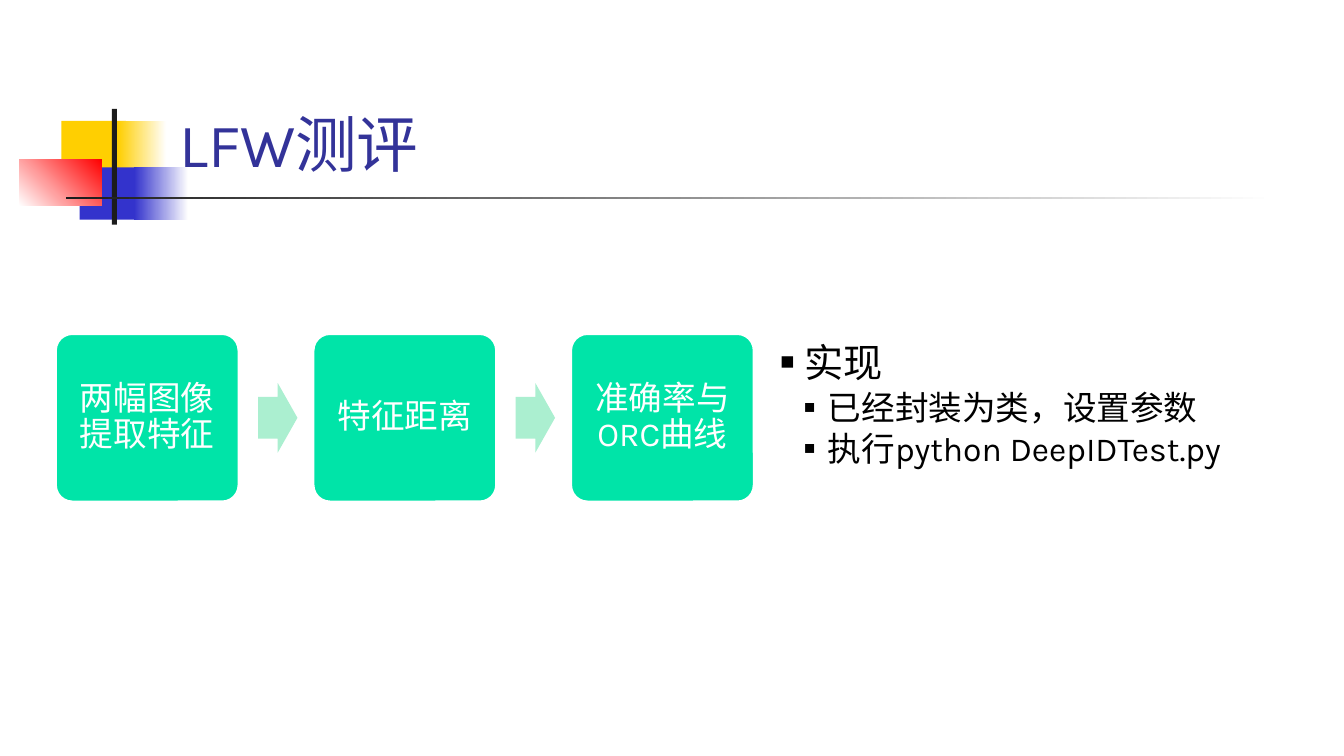
from lxml import etree
from pptx import Presentation
from pptx import util as u
from pptx.dml.color import RGBColor
from pptx.enum import shapes, text
from pptx.oxml.ns import qn

COLOURS = {
    "yellow": "FFCF01", "blue": "3333CC", "red": "FF0000", "dark": "1C1C1C",
    "white": "FFFFFF", "title": "333399", "black": "000000",
    "step": "00E4A8", "arrow": "ABEFD0",
}
KIND = shapes.MSO_SHAPE

deck = Presentation()
deck.slide_width, deck.slide_height = u.Inches(13.33), u.Inches(7.5)
slide = deck.slides.add_slide(deck.slide_layouts[1])
title, body = slide.placeholders


def add_block(kind, box, colour, end_colour=None, angle=0):
    block = slide.shapes.add_shape(kind, *map(u.Inches, box))
    block.shadow.inherit = False
    block.line.fill.background()
    if end_colour:
        block.fill.gradient()
        block.fill.gradient_angle = angle
        for stop, name, position in zip(block.fill.gradient_stops, (colour, end_colour), (0, 1)):
            stop.color.rgb = RGBColor.from_string(COLOURS[name])
            stop.position = position
    else:
        block.fill.solid()
        block.fill.fore_color.rgb = RGBColor.from_string(COLOURS[colour])
    return block


def write(paragraph, words, size, colour):
    run = paragraph.add_run()
    run.text = words
    for key, value in {"name": "Karla", "size": u.Pt(size), "bold": False}.items():
        setattr(run.font, key, value)
    run.font.color.rgb = RGBColor.from_string(COLOURS[colour])


for box, *fill in [
    ((0.61, 1.2, 0.64, 0.52), "yellow"),
    ((1.17, 1.2, 0.48, 0.52), "yellow", "white"),
    ((0.79, 1.66, 0.61, 0.52), "blue"),
    ((1.33, 1.66, 0.54, 0.52), "blue", "white"),
    ((0.19, 1.58, 0.82, 0.46), "white", "red", 45),
    ((1.11, 1.08, 0.05, 1.15), "dark"),
    ((0.65, 1.95, 11.99, 0.03), "dark", "white"),
]:
    add_block(KIND.RECTANGLE, box, *fill)

for holder, box, bottom_inset in [
    (title, (1.68, 0.23, 11.36, 1.6), 0.05),
    (body, (7.64, 2.28, 5.55, 3.01), 0.64),
]:
    slide.shapes._spTree.append(holder._element)
    for side, length in zip(("left", "top", "width", "height"), box):
        setattr(holder, side, u.Inches(length))
    frame_format = {
        "auto_size": text.MSO_AUTO_SIZE.NONE, "word_wrap": True,
        "vertical_anchor": text.MSO_ANCHOR.BOTTOM,
        "margin_left": u.Inches(0.1), "margin_right": u.Inches(0.1),
        "margin_top": u.Inches(0.05), "margin_bottom": u.Inches(bottom_inset),
    }
    for key, value in frame_format.items():
        setattr(holder.text_frame, key, value)

heading = title.text_frame.paragraphs[0]
heading.alignment = text.PP_ALIGN.LEFT
write(heading, "LFW测评", 44, "title")

steps = ["两幅图像提取特征", "特征距离", "准确率与ORC曲线"]
pitch = 2.555
for index, words in enumerate(steps):
    left = 0.55 + index * pitch
    step = add_block(KIND.ROUNDED_RECTANGLE, (left, 3.31, 1.82, 1.67), "step")
    step.adjustments[0] = 0.1
    step.line.color.rgb = RGBColor.from_string(COLOURS["white"])
    step.line.width = u.Pt(2)
    step_format = {
        "word_wrap": True, "vertical_anchor": text.MSO_ANCHOR.MIDDLE,
        "margin_left": u.Inches(0.08), "margin_right": u.Inches(0.08),
        "margin_top": u.Inches(0.11), "margin_bottom": u.Inches(0.11),
    }
    for key, value in step_format.items():
        setattr(step.text_frame, key, value)
    label = step.text_frame.paragraphs[0]
    label.alignment = text.PP_ALIGN.CENTER
    label.line_spacing = 0.9
    write(label, words, 24, "white")
    if index < len(steps) - 1:
        arrow = add_block(KIND.RIGHT_ARROW, (left + 2.01, 3.8, 0.39, 0.69), "arrow")
        arrow.adjustments[0] = 0.6
        arrow.adjustments[1] = 0.5

items = [
    (0, "实现", 28, 60),
    (1, "已经封装为类，设置参数", 24, 55),
    (1, "执行python DeepIDTest.py", 24, 55),
]
for index, (level, words, size, bullet_size) in enumerate(items):
    item = body.text_frame.add_paragraph() if index else body.text_frame.paragraphs[0]
    item.level = level
    item.space_before = u.Pt(1)
    write(item, words, size, "black")
    properties = item._p.get_or_add_pPr()
    properties.set("marL", str(u.Inches(0.235 * (level + 1))))
    properties.set("indent", str(u.Inches(-0.235)))
    for tag, key, value in [
        ("a:buSzPct", "val", str(bullet_size * 1000)),
        ("a:buFont", "typeface", "Arial"),
        ("a:buChar", "char", "■"),
    ]:
        etree.SubElement(properties, qn(tag)).set(key, value)

deck.save("out.pptx")
